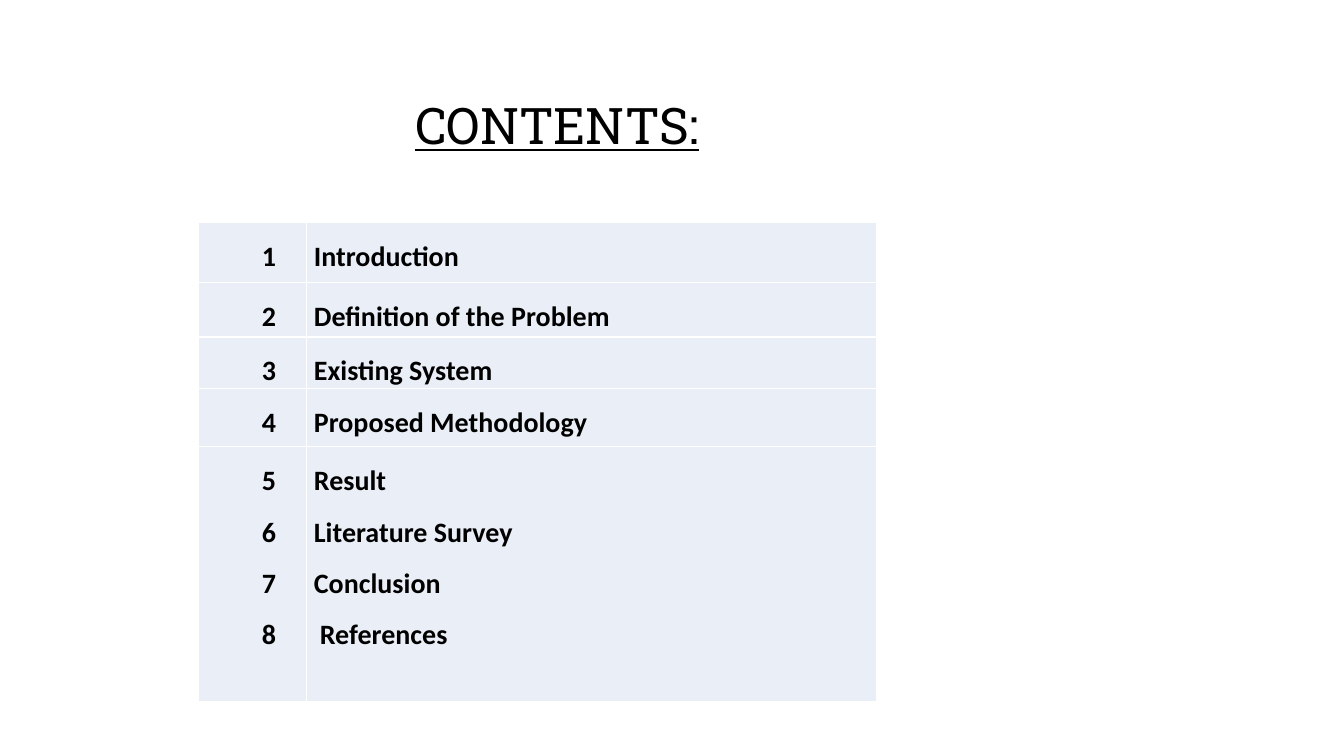
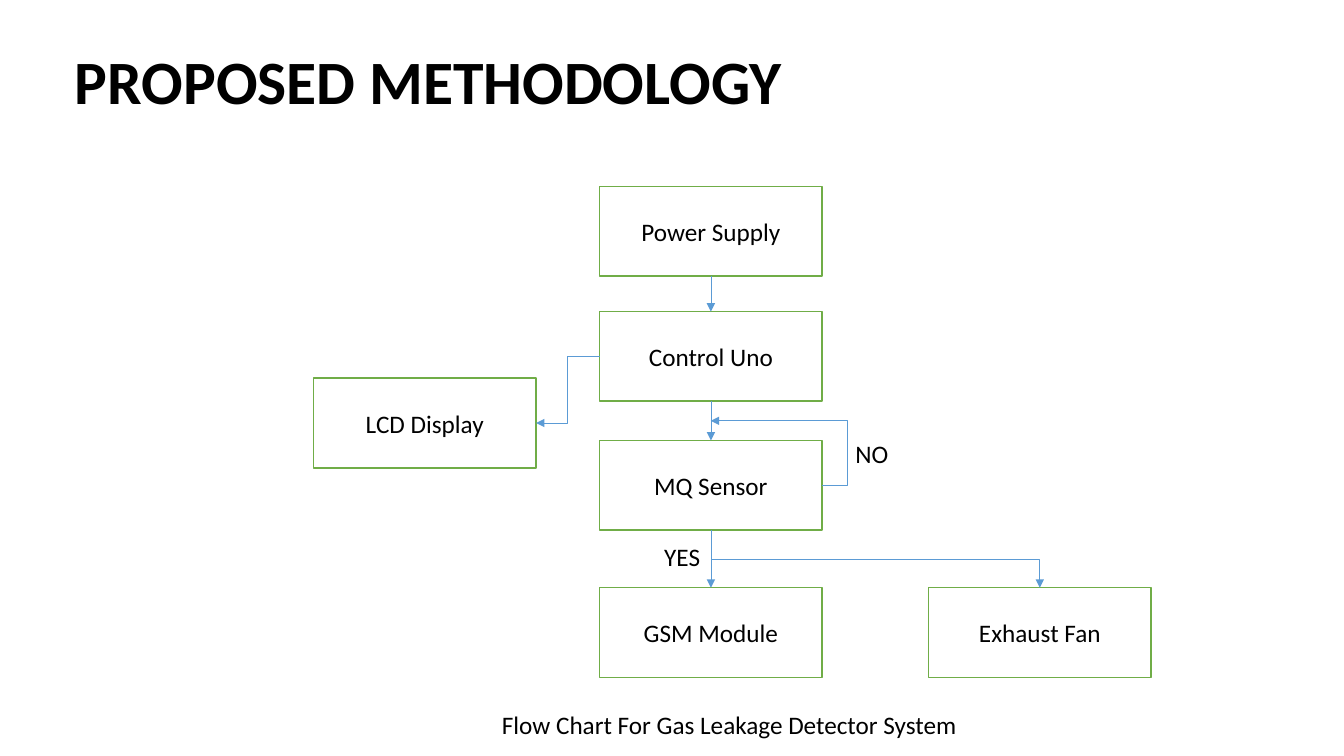
import pptx
import pptx.util
import pptx.dml.color
import pptx.enum.shapes
import pptx.enum.text
import pptx.oxml.ns
import lxml.etree

Cm, Pt = pptx.util.Cm, pptx.util.Pt
RGB = pptx.dml.color.RGBColor
ALIGN = pptx.enum.text.PP_ALIGN
ANCHOR = pptx.enum.text.MSO_ANCHOR
LINK = pptx.enum.shapes.MSO_CONNECTOR
RECT = pptx.enum.shapes.MSO_SHAPE.RECTANGLE
qn = pptx.oxml.ns.qn

BLACK = RGB(0x00, 0x00, 0x00)
WHITE = RGB(0xFF, 0xFF, 0xFF)
PALE = RGB(0xEA, 0xEF, 0xF7)
GREEN = RGB(0x70, 0xAD, 0x47)
BLUE = RGB(0x5B, 0x9B, 0xD5)
BODY = "Calibri"
SLAB = "Roboto Slab"

ROWS = [
    (1.52, ["Introduction"]),
    (1.37, ["Definition of the Problem"]),
    (1.27, ["Existing System"]),
    (1.47, ["Proposed Methodology"]),
    (6.43, ["Result", "Literature Survey", "Conclusion", "References"]),
]


def write(para, text, size, font=BODY, bold=False, line=False):
    run = para.add_run()
    run.text = text
    face = run.font
    face.name, face.size = font, Pt(size)
    face.bold, face.underline = bold, line
    face.color.rgb = BLACK


def start(deck, box, text, size, **style):
    """Add a title-only slide and format its title."""
    slide = deck.slides.add_slide(deck.slide_layouts[5])
    title = slide.shapes.title
    title.left, title.top, title.width, title.height = map(Cm, box)
    frame = title.text_frame
    frame.auto_size = pptx.enum.text.MSO_AUTO_SIZE.NONE
    frame.vertical_anchor = ANCHOR.MIDDLE
    para = frame.paragraphs[0]
    para.alignment, para.line_spacing = ALIGN.LEFT, 0.9
    write(para, text, size, **style)
    return slide


# Contents table
def fill(cell, lines, inset):
    cell.fill.solid()
    cell.fill.fore_color.rgb = PALE
    cell.margin_left, cell.margin_right = Cm(inset), Cm(0.18)
    cell.margin_top = cell.margin_bottom = 0
    frame = cell.text_frame
    for i, text in enumerate(lines):
        para = frame.add_paragraph() if i else frame.paragraphs[0]
        para.alignment, para.line_spacing = ALIGN.JUSTIFY, 1.5
        if text == "References":
            para._p.get_or_add_pPr().set("marL", str(Cm(0.15)))
        write(para, text, 20, bold=True)


def agenda(slide, box):
    left, top, wide, high = map(Cm, box)
    table = slide.shapes.add_table(len(ROWS), 2, left, top, wide, high).table
    table.first_row = table.horz_banding = False
    table.columns[0].width = Cm(2.73)
    table.columns[1].width = wide - Cm(2.73)
    count = 1
    for i, (tall, lines) in enumerate(ROWS):
        table.rows[i].height = Cm(tall)
        nums = [str(count + n) for n in range(len(lines))]
        fill(table.cell(i, 0), nums, 1.6)
        fill(table.cell(i, 1), lines, 0.18)
        count += len(lines)


# Flow chart parts
def node(slide, x, y, text):
    shape = slide.shapes.add_shape(RECT, x, y, Cm(5.61), Cm(2.26))
    shape.shadow.inherit = False
    shape.fill.solid()
    shape.fill.fore_color.rgb = WHITE
    shape.line.color.rgb, shape.line.width = GREEN, Pt(1)
    shape.text_frame.vertical_anchor = ANCHOR.MIDDLE
    para = shape.text_frame.paragraphs[0]
    para.alignment = ALIGN.CENTER
    write(para, text, 18)
    return shape


def label(slide, x, y, wide, text):
    shape = slide.shapes.add_textbox(x, y, wide, Cm(1.02))
    shape.text_frame.word_wrap = True
    write(shape.text_frame.paragraphs[0], text, 18)


def arrow(slide, kind, tail, head):
    link = slide.shapes.add_connector(kind, *tail, *head)
    link.line.color.rgb, link.line.width = BLUE, Pt(0.5)
    mark = lxml.etree.SubElement(link.line._get_or_add_ln(), qn("a:tailEnd"))
    mark.set("type", "triangle")
    lxml.etree.SubElement(link._element.spPr, qn("a:effectLst"))
    return link


def side(shape, n):
    """Middle of a side: 0 top, 1 left, 2 bottom, 3 right."""
    x, y = [(1, 0), (0, 1), (1, 2), (2, 1)][n]
    return shape.left + shape.width * x // 2, shape.top + shape.height * y // 2


def drop(slide, above, below):
    link = arrow(slide, LINK.STRAIGHT, side(above, 2), side(below, 0))
    link.begin_connect(above, 2)
    link.end_connect(below, 0)


def halfway(above, below):
    x, low = side(above, 2)
    return x, (low + below.top) // 2


def flow(slide, left, top):
    def at(x, y):
        return left + Cm(x), top + Cm(y)

    # Boxes
    power = node(slide, *at(7.21, 0), "Power Supply")
    board = node(slide, *at(7.21, 3.15), "Control Uno")
    sensor = node(slide, *at(7.21, 6.4), "MQ Sensor")
    module = node(slide, *at(7.21, 10.11), "GSM Module")
    screen = node(slide, *at(0, 4.83), "LCD Display")
    fan = node(slide, *at(15.5, 10.11), "Exhaust Fan")

    # Straight arrows down the middle
    chain = [power, board, sensor, module]
    for above, below in zip(chain, chain[1:]):
        drop(slide, above, below)

    # Bent arrows: to the screen, to the fan, and back round
    arrow(slide, LINK.ELBOW, side(board, 1), side(screen, 3))
    turn = arrow(slide, LINK.ELBOW, halfway(sensor, module), side(fan, 0))
    turn._element.spPr.prstGeom.set("prst", "bentConnector2")
    back = arrow(slide, LINK.ELBOW, side(sensor, 3), halfway(board, sensor))
    shape = back._element.spPr.prstGeom
    bend = lxml.etree.SubElement(shape.get_or_add_avLst(), qn("a:gd"))
    bend.set("name", "adj1")
    bend.set("fmla", "val -22700")

    # Labels and caption
    label(slide, *at(13.41, 6.22), Cm(3.84), "NO")
    label(slide, *at(8.59, 8.81), Cm(3.84), "YES")
    label(slide, *at(4.5, 13.06), Cm(14.4),
          "Flow Chart For Gas Leakage Detector System")


def main():
    deck = pptx.Presentation()
    deck.slide_width, deck.slide_height = Cm(33.87), Cm(19.05)
    slide = start(deck, (10.21, 1.4, 8.79, 3.68), "CONTENTS:", 36,
                  font=SLAB, line=True)
    agenda(slide, (5, 5.6, 17.08, 12.06))
    slide = start(deck, (1.63, 0.3, 29.21, 3.68), "PROPOSED METHODOLOGY", 44,
                  bold=True)
    flow(slide, Cm(7.9), Cm(4.7))
    deck.save("out.pptx")


if __name__ == "__main__":
    main()
